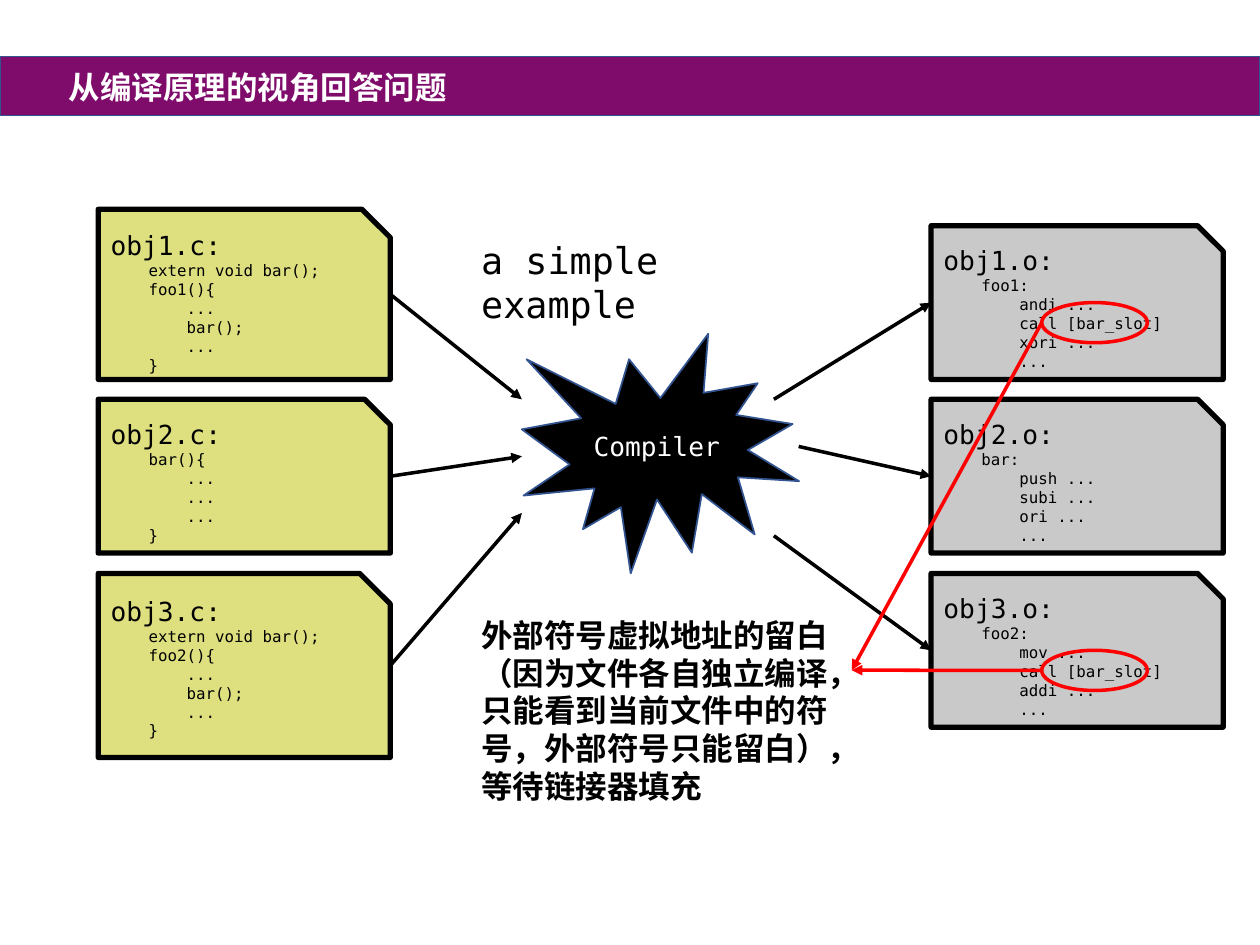
import pptx
import pptx.util
import pptx.dml.color
import pptx.enum.shapes
import pptx.enum.text
import pptx.oxml.ns
from lxml import etree
from pptx.util import Cm, Pt

MONO, CJK = "DejaVu Sans Mono", "Noto Sans CJK SC"
SHAPE = pptx.enum.shapes.MSO_SHAPE
ANCHOR = pptx.enum.text.MSO_ANCHOR
ALIGN = pptx.enum.text.PP_ALIGN

# Content
TITLE = "从编译原理的视角回答问题"
EXAMPLE = "a simple example"
NOTE = ("外部符号虚拟地址的留白（因为文件各自独立编译，只能看到当前文件中的符号，"
        "外部符号只能留白），等待链接器填充")

# File name, code lines, top, height, arrow end at the compiler
SOURCES = [
    ("obj1.c:", ["    extern void bar();", "    foo1(){", "        ...",
                 "        bar();", "        ...", "    }"], 4.22, 3.43, (10.52, 8.05)),
    ("obj2.c:", ["    bar(){", "        ...", "        ...", "        ...", "    }"],
     8.05, 3.1, (10.52, 9.2)),
    ("obj3.c:", ["    extern void bar();", "    foo2(){", "        ...",
                 "        bar();", "        ...", "    }"], 11.56, 3.71, (10.52, 10.34)),
]
OBJECTS = [
    ("obj1.o:", ["    foo1:", "        andi ...", "        call [bar_slot]",
                 "        xori ...", "        ..."], 4.55, 3.1, (15.6, 8.05)),
    ("obj2.o:", ["    bar:", "        push ...", "        subi ...",
                 "        ori ...", "        ..."], 8.05, 3.1, (16.1, 9.0)),
    ("obj3.o:", ["    foo2:", "        mov ...", "        call [bar_slot]",
                 "        addi ...", "        ..."], 11.56, 3.1, (15.6, 10.8)),
]
SOURCE_X, OBJECT_X, CARD_W = 1.98, 18.77, 5.89
SLOT_X, SLOT_DY, SLOT_W, SLOT_H = 21.0, 1.55, 2.13, 0.81
NOTE_POINT = (17.17, 13.51)


def rgb(color):
    return pptx.dml.color.RGBColor.from_string(color)


def add_run(p, text, size, font, color, bold=False):
    r = p.add_run()
    r.text = text
    r.font.size, r.font.name, r.font.bold = Pt(size), font, bold
    r.font.color.rgb = rgb(color)
    ea = etree.SubElement(r.font._element, pptx.oxml.ns.qn("a:ea"))
    ea.set("typeface", font)


def add_shape(s, kind, box, fill, line, width):
    sp = s.shapes.add_shape(kind, *map(Cm, box))
    sp.shadow.inherit = False
    if fill:
        sp.fill.solid()
        sp.fill.fore_color.rgb = rgb(fill)
    else:
        sp.fill.background()
    sp.line.color.rgb = rgb(line)
    sp.line.width = Pt(width)
    return sp


def add_card(s, x, top, height, name, code, fill):
    sp = add_shape(s, SHAPE.SNIP_1_RECTANGLE, (x, top, CARD_W, height), fill, "000000", 3)
    tf = sp.text_frame
    tf.vertical_anchor = ANCHOR.TOP
    for i, text in enumerate([name] + code):
        p = tf.add_paragraph() if i else tf.paragraphs[0]
        p.alignment = ALIGN.LEFT
        add_run(p, text, 9 if i else 15, MONO, "000000")
    return sp


def add_arrow(s, start, end, color):
    c = s.shapes.add_connector(pptx.enum.shapes.MSO_CONNECTOR.STRAIGHT,
                               *map(Cm, start + end))
    c.line.color.rgb = rgb(color)
    c.line.width = Pt(2)
    tail = etree.SubElement(c.line._get_or_add_ln(), pptx.oxml.ns.qn("a:tailEnd"))
    tail.set("type", "triangle")
    etree.SubElement(c._element.spPr, pptx.oxml.ns.qn("a:effectLst"))
    return c


def add_text(s, box, text, size, font, bold=False):
    tf = s.shapes.add_textbox(*map(Cm, box)).text_frame
    tf.word_wrap = True
    add_run(tf.paragraphs[0], text, size, font, "000000", bold)


def main():
    prs = pptx.Presentation()
    prs.slide_width, prs.slide_height = Cm(25.4), Cm(19.05)
    s = prs.slides.add_slide(prs.slide_layouts[5])

    # Title on its band
    add_shape(s, SHAPE.RECTANGLE, (0, 1.14, 25.4, 1.19), "7F0B6B", "325491", 1)
    title = s.shapes.title
    title.left, title.top, title.width, title.height = map(Cm, (0.28, 1.24, 9.83, 1.02))
    tf = title.text_frame
    tf.vertical_anchor = ANCHOR.MIDDLE
    tf.paragraphs[0].alignment = ALIGN.CENTER
    add_run(tf.paragraphs[0], TITLE, 18, CJK, "FFFFFF", True)
    s.shapes.element.append(title.element)  # bring in front of the band

    # Compiler
    seal = add_shape(s, SHAPE.EXPLOSION1, (10.52, 6.73, 5.59, 4.83), "000000", "325491", 1)
    tf = seal.text_frame
    tf.vertical_anchor = ANCHOR.MIDDLE
    tf.paragraphs[0].alignment = ALIGN.LEFT
    add_run(tf.paragraphs[0], "Compiler", 15, MONO, "FFFFFF")

    # Source files into the compiler, object files out of it
    for name, code, top, height, end in SOURCES:
        card = add_card(s, SOURCE_X, top, height, name, code, "DEE080")
        add_arrow(s, (SOURCE_X + CARD_W, top + height / 2), end, "000000").begin_connect(card, 3)
    for name, code, top, height, start in OBJECTS:
        card = add_card(s, OBJECT_X, top, height, name, code, "C9C9C9")
        add_arrow(s, start, (OBJECT_X, top + height / 2), "000000").end_connect(card, 1)

    # Texts beside the compiler
    add_text(s, (9.45, 4.67, 7.11, 1.14), EXAMPLE, 21, MONO)
    add_text(s, (9.45, 12.29, 7.87, 4.11), NOTE, 18, CJK, True)

    # Unfilled slots, each pointing at the note
    for name, code, top, height, start in OBJECTS:
        if "        call [bar_slot]" in code:
            y = top + SLOT_DY
            add_shape(s, SHAPE.OVAL, (SLOT_X, y, SLOT_W, SLOT_H), None, "FF0000", 2)
            add_arrow(s, (SLOT_X, y + SLOT_H / 2), NOTE_POINT, "FF0000")

    prs.save("out.pptx")


if __name__ == "__main__":
    main()
